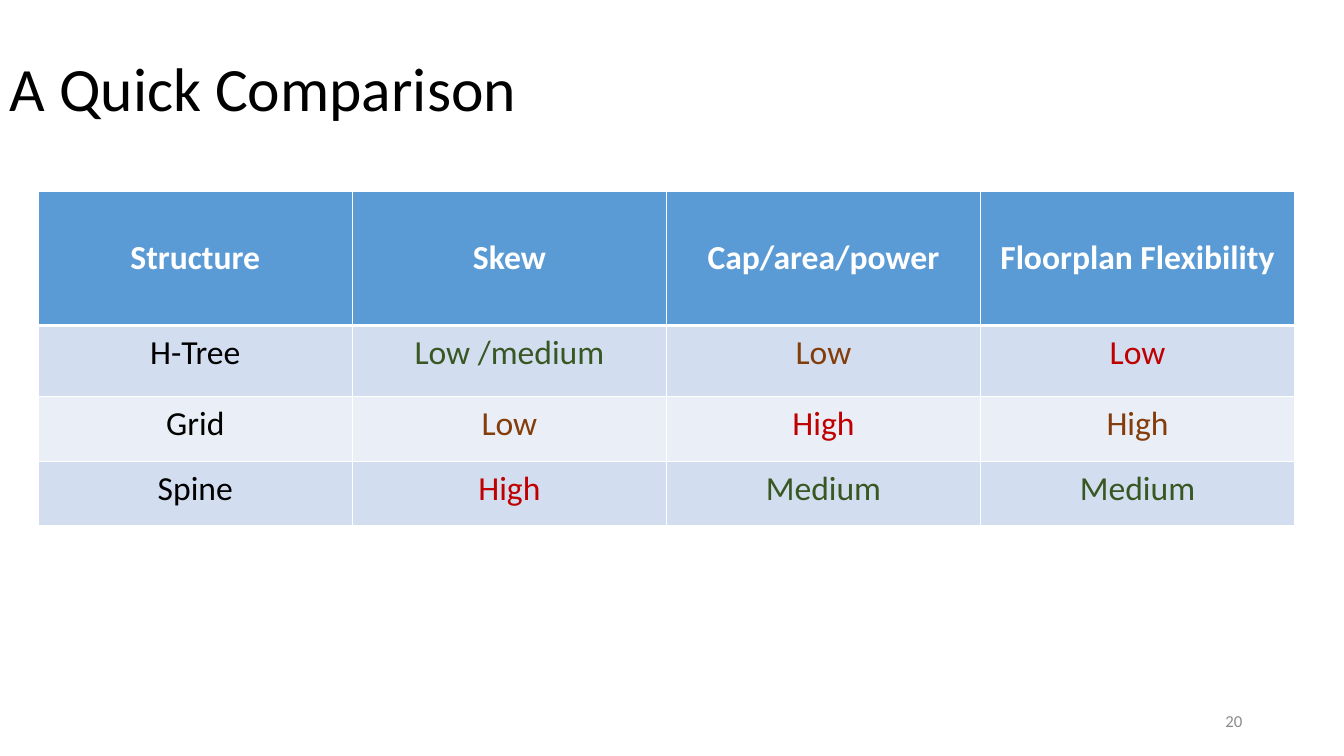
from lxml import etree
from pptx import Presentation
from pptx.dml.color import RGBColor
from pptx.enum import text as t
from pptx.oxml import ns
from pptx.util import Inches, Pt

# Colours
BLACK = RGBColor(0x00, 0x00, 0x00)
WHITE = RGBColor(0xFF, 0xFF, 0xFF)
GRAY = RGBColor(0x8C, 0x8C, 0x8C)
BLUE = RGBColor(0x5B, 0x9B, 0xD5)
PALE = RGBColor(0xD2, 0xDE, 0xEF)
LIGHT = RGBColor(0xEA, 0xEF, 0xF7)
GREEN = RGBColor(0x38, 0x57, 0x23)
BROWN = RGBColor(0x84, 0x3C, 0x0B)
RED = RGBColor(0xC0, 0x00, 0x00)

# Content
TITLE = "A Quick Comparison"
NUMBER = "20"
HEADS = ["Structure", "Skew", "Cap/area/power", "Floorplan Flexibility"]
ROWS = [
    [("H-Tree", BLACK), ("Low /medium", GREEN), ("Low", BROWN), ("Low", RED)],
    [("Grid", BLACK), ("Low", BROWN), ("High", RED), ("High", BROWN)],
    [("Spine", BLACK), ("High", RED), ("Medium", GREEN), ("Medium", GREEN)],
]
HIGHS = [1.33, 0.70, 0.65, 0.63]
LEFT, TOP, WIDTH = 0.38, 1.9, 12.46


def write(frame, words, size, color, align, bold=False):
    para = frame.paragraphs[0]
    para.alignment = align
    run = para.add_run()
    run.text = words
    font = run.font
    font.name, font.size, font.bold = "Calibri", Pt(size), bold
    font.color.rgb = color
    return para


def add_text(slide, box, words, size, color, align):
    frame = slide.shapes.add_textbox(*map(Inches, box)).text_frame
    frame.word_wrap = True
    frame.vertical_anchor = t.MSO_ANCHOR.MIDDLE
    return write(frame, words, size, color, align)


def add_edge(cell, side, width):
    props = cell._tc.get_or_add_tcPr()
    line = etree.SubElement(props, ns.qn("a:ln" + side), w=str(Pt(width)))
    fill = etree.SubElement(line, ns.qn("a:solidFill"))
    etree.SubElement(fill, ns.qn("a:srgbClr"), val=str(WHITE))


def add_grid(slide):
    cells = [[(head, WHITE) for head in HEADS]] + ROWS
    box = (LEFT, TOP, WIDTH, sum(HIGHS))
    table = slide.shapes.add_table(len(cells), len(HEADS), *map(Inches, box)).table
    for col in table.columns:
        col.width = Inches(WIDTH / len(HEADS))
    for r, line in enumerate(cells):
        table.rows[r].height = Inches(HIGHS[r])
        head = r == 0
        for c, (words, color) in enumerate(line):
            cell = table.cell(r, c)
            cell.margin_left = cell.margin_right = Inches(0.13)
            cell.margin_top = cell.margin_bottom = Inches(0.07)
            cell.vertical_anchor = t.MSO_ANCHOR.MIDDLE if head else t.MSO_ANCHOR.TOP
            # A thick rule parts the header from the body
            for side in "LRTB":
                thick = (r, side) in [(0, "B"), (1, "T")]
                add_edge(cell, side, 3 if thick else 1)
            cell.fill.solid()
            cell.fill.fore_color.rgb = BLUE if head else PALE if r % 2 else LIGHT
            write(cell.text_frame, words, 24, color, t.PP_ALIGN.CENTER, head)


def main():
    deck = Presentation()
    deck.slide_width, deck.slide_height = Inches(13.33), Inches(7.5)
    slide = deck.slides.add_slide(deck.slide_layouts[6])

    # Title
    title = add_text(slide, (0, 0.32, 12, 1.17), TITLE, 44, BLACK, t.PP_ALIGN.LEFT)
    title.line_spacing = 0.9

    # Comparison table
    add_grid(slide)

    # Slide number
    add_text(slide, (9.42, 6.95, 3, 0.4), NUMBER, 12, GRAY, t.PP_ALIGN.RIGHT)
    deck.save("out.pptx")


if __name__ == "__main__":
    main()
